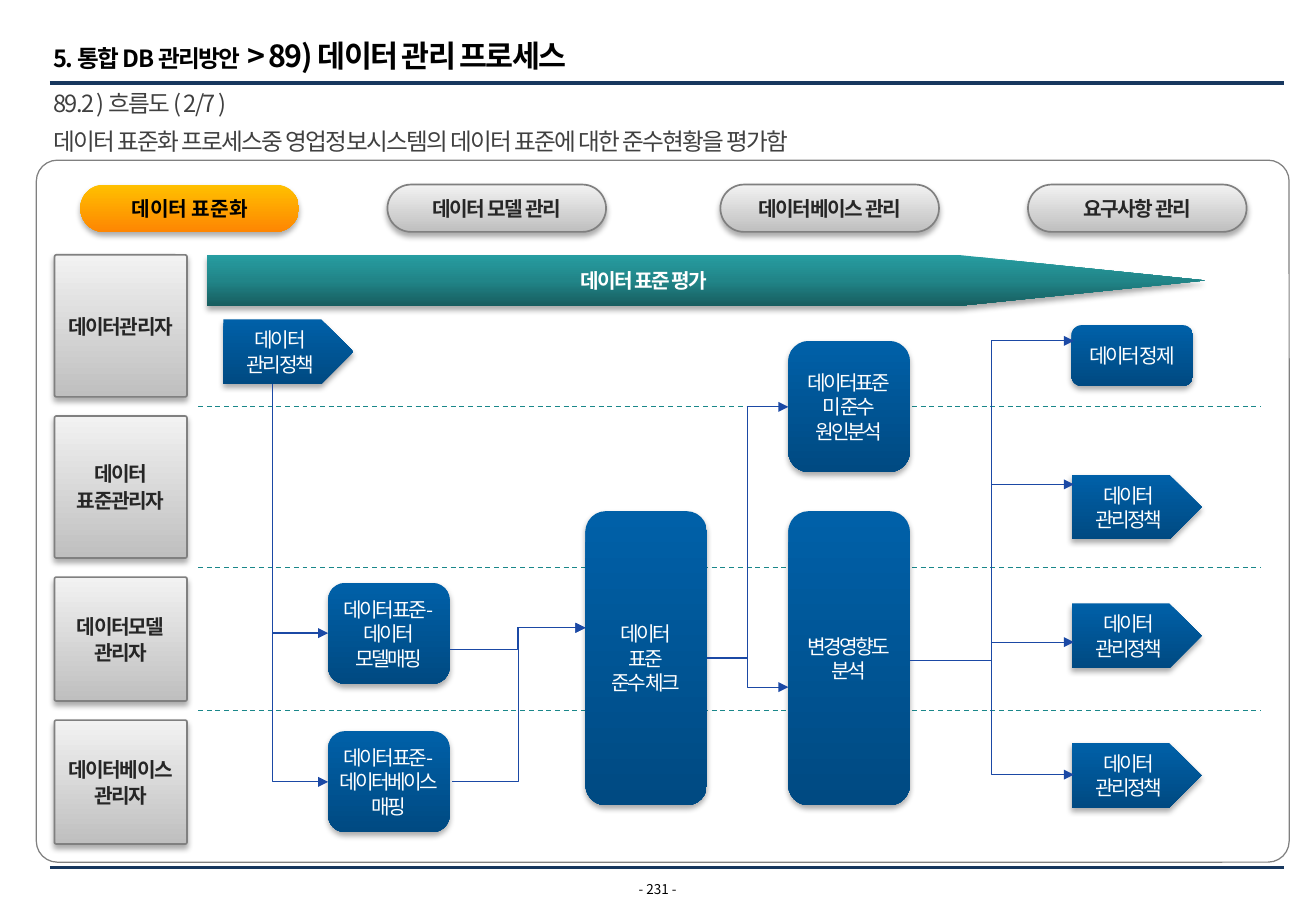
from copy import deepcopy

from lxml.etree import SubElement
from pptx import Presentation
from pptx.dml.color import RGBColor
from pptx.enum.dml import MSO_LINE
from pptx.enum.shapes import MSO_CONNECTOR, MSO_SHAPE
from pptx.enum.text import MSO_ANCHOR, PP_ALIGN
from pptx.oxml.ns import qn
from pptx.util import Cm, Pt

FONT = "Noto Sans CJK KR"
BLACK = RGBColor(0x00, 0x00, 0x00)
WHITE = RGBColor(0xFF, 0xFF, 0xFF)
INK = RGBColor(0x26, 0x26, 0x26)
DIM = RGBColor(0x40, 0x40, 0x40)
GRAY = RGBColor(0x80, 0x80, 0x80)
NAVY = RGBColor(0x17, 0x37, 0x5E)
TEAL = RGBColor(0x1A, 0x87, 0x8A)
LINK = RGBColor(0x1B, 0x49, 0xA5)
# Gradient tones run from top to bottom
SILVER = (RGBColor(0xF2, 0xF2, 0xF2), RGBColor(0xBF, 0xBF, 0xBF))
AMBER = (RGBColor(0xFF, 0xC0, 0x00), RGBColor(0xFE, 0x86, 0x02))
OCEAN = (RGBColor(0x00, 0x60, 0xA8), RGBColor(0x00, 0x4A, 0x82))
PINE = (RGBColor(0x27, 0x9D, 0xA1), RGBColor(0x21, 0x85, 0x88),
        RGBColor(0x17, 0x5D, 0x5F))

PANEL = (0.76, 3.35, 26.19, 14.68)
POLICY = "데이터\n관리정책"


def style(para, size, color, bold=False, track=0.0, align=PP_ALIGN.CENTER):
    """Format a paragraph; track is the letter spacing in points."""
    para.alignment = align
    para.line_spacing = Pt(round(size * 1.21, 1))
    font = para.font
    font.size, font.bold, font.name = Pt(size), bold, FONT
    font.color.rgb = color
    props = para._p.pPr.find(qn("a:defRPr"))
    props.set("spc", str(int(track * 100)))
    SubElement(props, qn("a:ea")).set("typeface", FONT)


def bare(frame, anchor=MSO_ANCHOR.MIDDLE):
    frame.word_wrap = True
    frame.vertical_anchor = anchor
    frame.margin_left = frame.margin_right = 0
    frame.margin_top = frame.margin_bottom = 0


def write(frame, text, size, color, gap=0, **look):
    for i, line in enumerate(text.split("\n")):
        para = frame.paragraphs[0] if i == 0 else frame.add_paragraph()
        para.text = line
        if i and gap:
            para.space_before = Pt(gap)
        style(para, size, color, **look)


def label(slide, box, text, size, color, **look):
    shape = slide.shapes.add_textbox(*map(Cm, box))
    bare(shape.text_frame)
    write(shape.text_frame, text, size, color, **look)


def shade(shape, tones):
    shape.fill.gradient()
    shape.fill.gradient_angle = 270
    stops = shape._element.spPr.find(".//" + qn("a:gsLst"))
    for _ in tones[2:]:
        stops.insert(1, deepcopy(stops[0]))
    for i, (stop, tone) in enumerate(zip(shape.fill.gradient_stops, tones)):
        stop.color.rgb = tone
        stop.position = i / (len(tones) - 1)


def drop(shape):
    """Give a shape a soft shadow below it."""
    shape.shadow.inherit = False
    effects = shape._element.spPr.find(qn("a:effectLst"))
    outer = SubElement(effects, qn("a:outerShdw"), blurRad=str(Pt(3.5)),
                       dist=str(Pt(2.2)), dir="5400000", rotWithShape="0")
    black = SubElement(outer, qn("a:srgbClr"), val="000000")
    SubElement(black, qn("a:alpha"), val="32000")


def block(slide, kind, box, text, tones, color=WHITE, edge=None, adj=None,
          **look):
    shape = slide.shapes.add_shape(kind, *map(Cm, box))
    if adj is not None:
        shape.adjustments[0] = adj
    shade(shape, tones)
    drop(shape)
    if edge is None:
        shape.line.fill.background()
    else:
        shape.line.color.rgb = edge
        shape.line.width = Pt(1)
    bare(shape.text_frame)
    write(shape.text_frame, text, 12, color, **look)


def rule(slide, start, end, color, width, kind=MSO_CONNECTOR.STRAIGHT):
    line = slide.shapes.add_connector(kind, *map(Cm, start + end))
    line.line.color.rgb = color
    line.line.width = Pt(width)
    SubElement(line._element.spPr, qn("a:effectLst"))
    return line


def link(slide, start, end):
    """Draw an elbow arrow that turns halfway across."""
    line = rule(slide, start, end, LINK, 0.75, MSO_CONNECTOR.ELBOW)
    SubElement(line.line._get_or_add_ln(), qn("a:tailEnd"), type="triangle")
    return line


def hook(slide, start, end):
    """Draw an elbow arrow that goes down, then right."""
    (x, y), (right, low) = start, end
    mid_x, mid_y = (x + right) / 2, (y + low) / 2
    run, fall = (right - x) / 2, (low - y) / 2
    line = link(slide, (mid_x + fall, mid_y - run), (mid_x - fall, mid_y + run))
    props = line._element.spPr
    props.find(qn("a:xfrm")).set("rot", "16200000")
    props.find(qn("a:prstGeom")).set("prst", "bentConnector2")


def header(slide, box):
    x, y, w, _ = box
    title = slide.shapes.title
    title.left, title.top = Cm(x + 0.08), Cm(y + 0.41)
    title.width, title.height = Cm(18.44), Cm(0.9)
    bare(title.text_frame, MSO_ANCHOR.TOP)
    para = title.text_frame.paragraphs[0]
    style(para, 18, BLACK, bold=True, track=-1, align=PP_ALIGN.LEFT)
    for text, size in (("5. 통합 DB 관리방안", 14),
                       (" > 89) 데이터 관리 프로세스", 18)):
        run = para.add_run()
        run.text = text
        run.font.size = Pt(size)
    rule(slide, (x, y + 1.37), (x + w, y + 1.37), NAVY, 2.25)
    for top, text in (
            (1.5, "89.2 ) 흐름도 ( 2/7 )"),
            (2.28, "데이터 표준화 프로세스중 영업정보시스템의 데이터 표준에 대한 "
                   "준수현황을 평가함")):
        label(slide, (x + 0.08, y + top, w, 0.6), text, 14, DIM,
              track=-1, align=PP_ALIGN.LEFT)


def footer(slide, box):
    x, y, w, _ = box
    rule(slide, (x, y), (x + w, y), NAVY, 2.25)
    label(slide, (x + 11.86, y + 0.28, 1.7, 0.33), "- 231 -", 8, BLACK)


def panel(slide, box):
    shape = slide.shapes.add_shape(MSO_SHAPE.ROUNDED_RECTANGLE, *map(Cm, box))
    shape.adjustments[0] = 0.03
    shape.shadow.inherit = False
    shape.fill.solid()
    shape.fill.fore_color.rgb = WHITE
    shape.line.color.rgb = GRAY
    shape.line.width = Pt(0.75)


def tabs(slide, box):
    x, y = box[:2]
    active = dict(tones=AMBER, color=BLACK)
    plain = dict(tones=SILVER, color=INK, edge=GRAY, track=-0.8)
    for left, text, look in ((0.92, "데이터 표준화", active),
                             (7.34, "데이터 모델 관리", plain),
                             (14.3, "데이터베이스 관리", plain),
                             (20.73, "요구사항 관리", plain)):
        block(slide, MSO_SHAPE.ROUNDED_RECTANGLE,
              (x + left, y + 0.51, 4.57, 0.99), text, adj=0.5, bold=True, **look)


def roles(slide, box):
    """Stack the role boxes, with a dashed lane line in each gap."""
    x, y = box[:2]
    top, gap = y + 1.98, 0.4
    for i, (text, high) in enumerate((("데이터관리자", 2.97),
                                      ("데이터\n표준관리자", 2.97),
                                      ("데이터모델\n관리자", 2.59),
                                      ("데이터베이스\n관리자", 2.59))):
        if i:
            mid = top - gap / 2
            lane = rule(slide, (x + 3.38, mid), (x + 25.61, mid), TEAL, 0.75)
            lane.line.dash_style = MSO_LINE.DASH
        block(slide, MSO_SHAPE.ROUNDED_RECTANGLE, (x + 0.38, top, 2.77, high),
              text, SILVER, INK, GRAY, 0.015, gap=1.2, bold=True, track=-0.8)
        top += high + gap


def flow(slide, box):
    x, y = box[:2]

    def at(left, top):
        return x + left, y + top

    block(slide, MSO_SHAPE.PENTAGON, at(3.56, 1.98) + (20.88, 1.07),
          "데이터 표준 평가", PINE, adj=4.85, bold=True, track=-1)
    for left, top in ((3.91, 3.33), (21.64, 6.58), (21.64, 9.27),
                      (21.64, 12.19)):
        block(slide, MSO_SHAPE.PENTAGON, at(left, top) + (2.72, 1.35),
              POLICY, OCEAN, adj=0.5, track=-1.5)
    for left, top, high, text in (
            (6.1, 8.84, 2.11, "데이터표준-\n데이터\n모델매핑"),
            (6.1, 11.94, 2.11, "데이터표준-\n데이터베이스\n매핑"),
            (11.48, 7.34, 6.15, "데이터\n표준\n준수 체크"),
            (15.72, 3.78, 2.74, "데이터표준\n미 준수\n원인분석"),
            (15.72, 7.34, 6.15, "변경영향도\n분석"),
            (21.64, 3.45, 1.27, "데이터 정제")):
        block(slide, MSO_SHAPE.ROUNDED_RECTANGLE, at(left, top) + (2.54, high),
              text, OCEAN, track=-1.5)

    for low in (9.89, 13):
        hook(slide, at(4.93, 4.68), at(6.1, low))
    for start, right, ends in (((8.64, 10.24), 11.48, (9.78,)),
                               ((8.69, 13), 11.48, (9.78,)),
                               ((14.02, 10.41), 15.72, (5.16, 11.02)),
                               ((18.26, 10.46), 21.69,
                                (3.78, 6.78, 10.08, 12.85))):
        for end in ends:
            link(slide, at(*start), at(right, end))


def main():
    deck = Presentation()
    deck.slide_width, deck.slide_height = Cm(27.51), Cm(19.05)
    slide = deck.slides.add_slide(deck.slide_layouts[5])
    header(slide, (1.04, 0.36, 25.81, 2.9))
    footer(slide, (1.04, 18.14, 25.81, 0.7))
    for part in (panel, tabs, roles, flow):
        part(slide, PANEL)
    deck.save("out.pptx")


if __name__ == "__main__":
    main()
